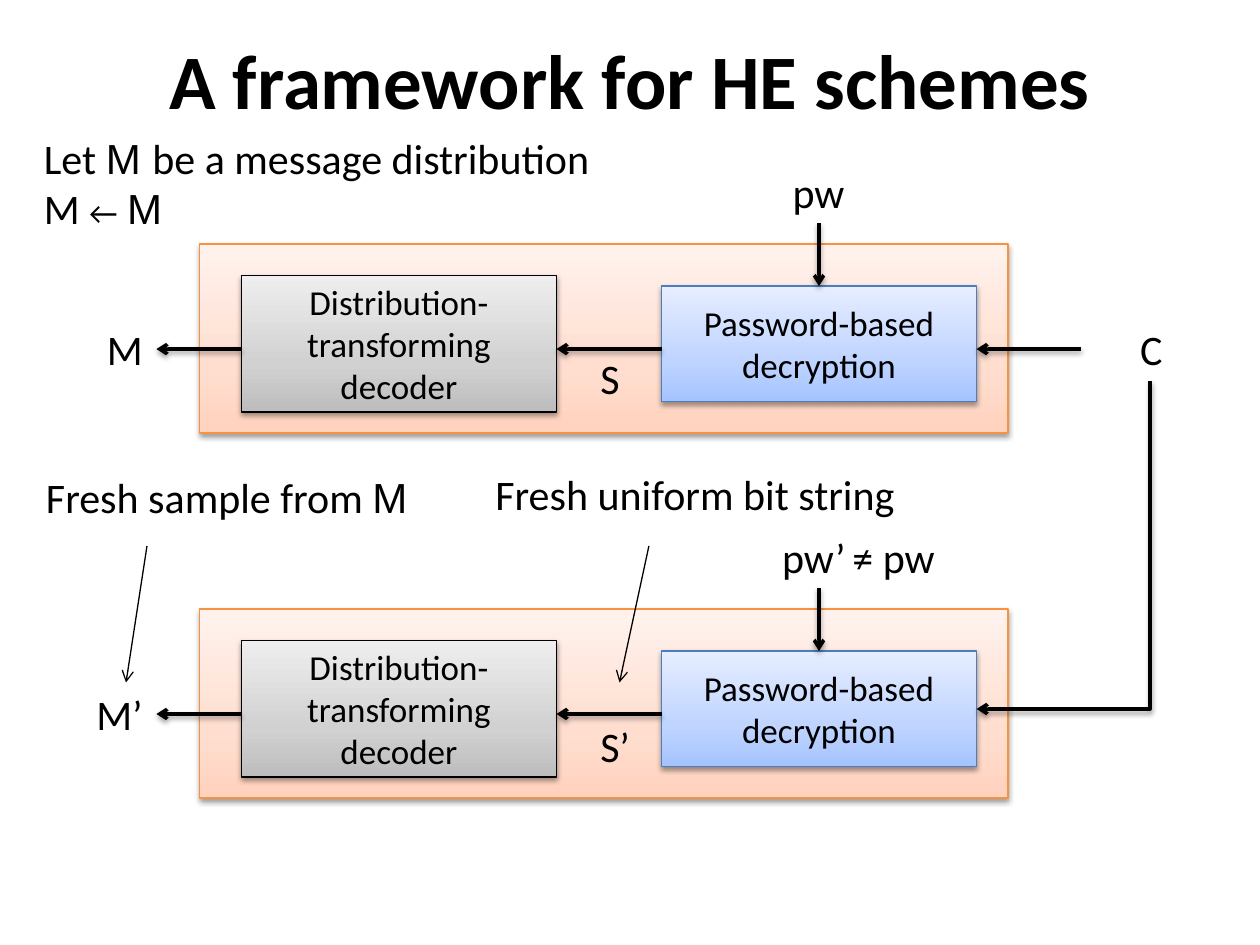
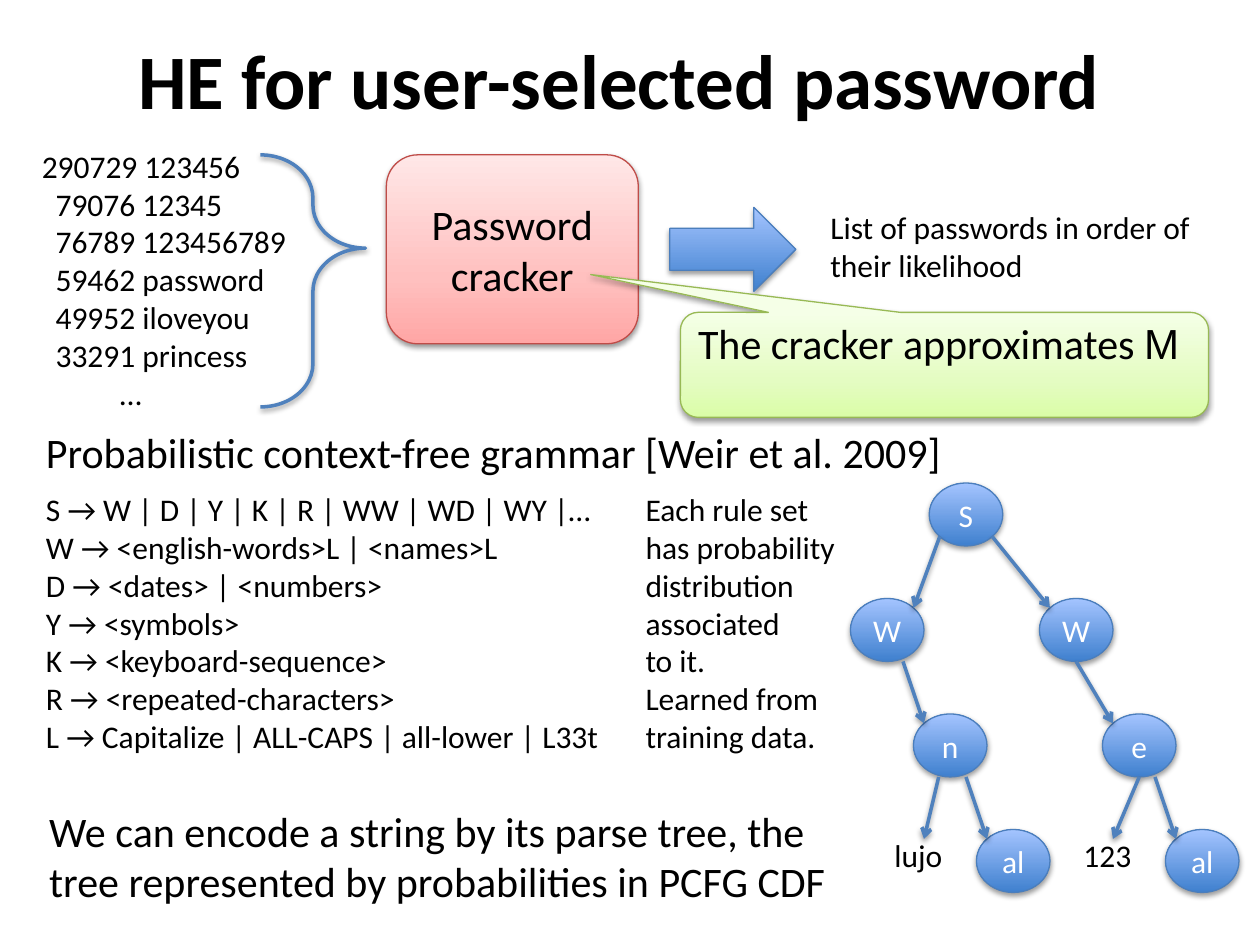
from lxml.etree import SubElement
from pptx import Presentation
from pptx.dml.color import RGBColor
from pptx.enum.shapes import MSO_CONNECTOR, MSO_SHAPE
from pptx.enum.text import MSO_ANCHOR, PP_ALIGN
from pptx.oxml import parse_xml
from pptx.oxml.ns import nsdecls, qn
from pptx.util import Inches, Pt

# The grid has 120 columns and 90 rows of square cells.
CELL = Inches(10) / 120
BLACK, WHITE, BLUE = "000000", "FFFFFF", "4F81BD"
TITLE = {"size": 44, "bold": True, "align": PP_ALIGN.CENTER, "anchor": MSO_ANCHOR.MIDDLE}
CENTERED = {"align": PP_ALIGN.CENTER, "anchor": MSO_ANCHOR.MIDDLE}

# Each style holds a line colour and gradient stops from bottom to top.
STYLES = {
    "orange": ("F69240", {0: "FFD2BD", 35: "FFDED0", 100: "FFF2ED"}),
    "pale blue": ("4B7EBC", {0: "A4C4FF", 35: "BFD4FF", 100: "E6EEFF"}),
    "grey": (BLACK, {0: "BDBDBD", 35: "D1D1D1", 100: "EEEEEE"}),
    "red": ("BF4C48", {0: "FFA6A5", 35: "FFC0BF", 100: "FFE7E7"}),
    "green": ("98B955", {0: "DAFDA7", 35: "E4FCC2", 100: "F5FFE7"}),
    "blue": ("4B7EBC", {0: "3F80CE", 100: "A4C4FF"}),
}
SHADOW = (
    f'<a:outerShdw {nsdecls("a")} blurRad="39370" dist="20320" dir="5400000" rotWithShape="0">'
    '<a:srgbClr val="000000"><a:alpha val="38000"/></a:srgbClr></a:outerShdw>'
)


def add_box(slide, cells, text="", kind=None, style=None, size=24, bold=False,
            colour=BLACK, align=PP_ALIGN.LEFT, anchor=MSO_ANCHOR.TOP, wrap=False):
    """Add a text box or a styled shape; tildes enclose symbols with their own font."""
    place = [round(CELL * cell) for cell in cells]
    if kind is None:
        shape = slide.shapes.add_textbox(*place)
    else:
        shape = slide.shapes.add_shape(kind, *place)
        shape.shadow.inherit = False
        shape._element.spPr.find(qn("a:effectLst")).append(parse_xml(SHADOW))
    if style:
        line_colour, stops = STYLES[style]
        shape.line.color.rgb = RGBColor.from_string(line_colour)
        shape.line.width = Pt(0.75)
        shape.fill.gradient()
        shape.fill.gradient_angle = 90
        stop_list = shape._element.spPr.find(qn("a:gradFill")).find(qn("a:gsLst"))
        stop_list.clear()
        for position, stop_colour in stops.items():
            stop = SubElement(stop_list, qn("a:gs"), pos=str(position * 1000))
            SubElement(stop, qn("a:srgbClr"), val=stop_colour)
    frame = shape.text_frame
    frame.word_wrap = wrap or kind is not None
    frame.vertical_anchor = anchor
    for number, line in enumerate(text.split("\n") if text else []):
        paragraph = frame.add_paragraph() if number else frame.paragraphs[0]
        paragraph.alignment = align
        for index, part in enumerate(line.split("~")):
            if not part:
                continue
            run = paragraph.add_run()
            run.text = part
            is_message_space = index % 2 and part.strip() == "M"
            values = {
                "name": "Arial" if is_message_space else "Calibri",
                "size": Pt(18 if part == "←" else size),
                "bold": bold,
            }
            for name, value in values.items():
                setattr(run.font, name, value)
            run.font.color.rgb = RGBColor.from_string(colour)
    return shape


def add_arrow(slide, cells, colour=BLACK, width=2, shadow=True):
    arrow = slide.shapes.add_connector(
        MSO_CONNECTOR.STRAIGHT, *[round(CELL * cell) for cell in cells])
    arrow.line.color.rgb = RGBColor.from_string(colour)
    arrow.line.width = Pt(width)
    properties = arrow._element.spPr
    SubElement(properties.find(qn("a:ln")), qn("a:tailEnd"), type="arrow")
    effects = SubElement(properties, qn("a:effectLst"))
    if shadow:
        effects.append(parse_xml(SHADOW))
    return arrow


presentation = Presentation()
presentation.slide_width = Inches(10)
presentation.slide_height = Inches(7.5)
blank = presentation.slide_layouts[6]

# Framework: the same decryption chain with the right and a wrong password
slide = presentation.slides.add_slide(blank)
add_box(slide, (6, 0, 108, 15), "A framework for HE schemes", **TITLE)
add_box(slide, (3, 12, 55.7, 10.9), "Let ~M ~be a message distribution\nM ~←~ ~M")

# Chain top row, then (text, column, row below the top, width) of its labels
chains = [
    (23.25, [("M", 9, 7, 5.9), ("pw", 74.3, -8, 7.5), ("S", 56, 9.75, 4.3)]),
    (58, [("M’", 8, 7, 7), ("pw’", 73.3, -8, 9), ("≠ pw", 80, -8, 10.4),
          ("S’", 56, 10, 5.5)]),
]
for top, labels in chains:
    add_box(slide, (19, top, 77, 18), kind=MSO_SHAPE.RECTANGLE, style="orange")
    add_box(slide, (63, top + 4, 30, 11), "Password-based decryption",
            MSO_SHAPE.RECTANGLE, "pale blue", 20, **CENTERED)
    add_box(slide, (23, top + 3, 30, 13), "Distribution-transforming decoder",
            MSO_SHAPE.RECTANGLE, "grey", 20, **CENTERED)
    for start, end in [(23, 14.9), (63, 53)]:
        add_arrow(slide, (start, top + 10, end, top + 10))
    add_arrow(slide, (78, top - 2, 78, top + 4))
    for text, column, row, width in labels:
        add_box(slide, (column, top + row, width, 6), text)

add_box(slide, (107.4, 30.25, 4.5, 6), "C")
add_arrow(slide, (103, 33.25, 93, 33.25))
ciphertext_bend = add_arrow(slide, (85.63, 43.65, 116.88, 60.15))
ciphertext_bend._element.spPr.find(qn("a:prstGeom")).set("prst", "bentConnector2")
ciphertext_bend._element.spPr.find(qn("a:xfrm")).set("rot", "5400000")

add_box(slide, (3.2, 44.3, 38, 6), "Fresh sample from ~M")
add_box(slide, (46, 44, 41, 6), "Fresh uniform bit string")
for start, end in [(14, 12), (61.8, 59)]:
    add_arrow(slide, (start, 52, end, 65), width=0.75, shadow=False)

# User-selected passwords: cracker on top, grammar and parse tree below
slide = presentation.slides.add_slide(blank)
add_box(slide, (8.6, 0, 100.8, 15), "HE for user-selected password", **TITLE)
add_box(slide, (36.8, 14.75, 24, 18), "Password cracker",
        MSO_SHAPE.ROUNDED_RECTANGLE, "red", **CENTERED)

counts = add_box(
    slide, (2.8, 13.4, 29, 26.6),
    "290729 123456\n79076 12345\n76789 123456789\n59462 password\n"
    "49952 iloveyou\n33291 princess\n…", size=18, wrap=True)
for paragraph in counts.text_frame.paragraphs[1:]:
    indent = Inches(0.62 if paragraph.text == "…" else 0.11)
    paragraph._p.get_or_add_pPr().set("marL", str(indent))

brace = add_box(slide, (24.8, 14.75, 10, 24), kind=MSO_SHAPE.LEFT_BRACE)
brace.rotation = 180
brace.adjustments[0], brace.adjustments[1] = 0.41, 0.63
brace.fill.background()
brace.line.color.rgb = RGBColor.from_string(BLUE)
brace.line.width = Pt(2)

add_box(slide, (63.8, 19.75, 12, 8), kind=MSO_SHAPE.RIGHT_ARROW, style="blue")
add_box(slide, (77.9, 19.2, 37.3, 8.5),
        "List of passwords in order of\ntheir likelihood", size=18)
callout = add_box(slide, (64.8, 29.75, 50.3, 10), "The cracker approximates ~M",
                  MSO_SHAPE.ROUNDED_RECTANGULAR_CALLOUT, "green")
callout.text_frame.margin_top = 0
for index, value in enumerate((-0.67, -0.86, 0.17)):
    callout.adjustments[index] = value

add_box(slide, (3.2, 40, 89.3, 6),
        "Probabilistic context-free grammar [Weir et al. 2009]")
add_box(slide, (3.2, 46.1, 55.8, 26.6),
        "S → W | D | Y | K | R | WW | WD | WY |…\n"
        "W → <english-words>L | <names>L\n"
        "D → <dates> | <numbers>\n"
        "Y → <symbols>\n"
        "K → <keyboard-sequence>\n"
        "R → <repeated-characters>\n"
        "L → Capitalize | ALL-CAPS | all-lower | L33t", size=18)
add_box(slide, (60.3, 46.1, 20.7, 26.6),
        "Each rule set\nhas probability\ndistribution\nassociated\nto it.\n"
        "Learned from\ntraining data.", size=18)
add_box(slide, (3.5, 76.1, 77.4, 10.9),
        "We can encode a string by its parse tree, the\n"
        "tree represented by probabilities in PCFG CDF")

# Parse tree: four levels, 11 rows apart
LEVEL = 11
nodes = [("S", 88.5, 0), ("W", 81, 1), ("W", 99, 1), ("n", 87, 2), ("e", 105, 2),
         ("al", 93, 3), ("al", 111, 3)]
for text, column, level in nodes:
    node = add_box(slide, (column, 46 + LEVEL * level, 7, 6), text,
                   MSO_SHAPE.OVAL, "blue", 18, colour=WHITE, **CENTERED)
    node.text_frame.margin_left = node.text_frame.margin_right = 0
for text, column in [("lujo", 84), ("123", 102)]:
    add_box(slide, (column, 46 + LEVEL * 3, 7.1, 4.8), text, size=18)

# Start row of a level's branches, then (start column, end column) of each
branches = [
    (51.1, [(89.5, 87), (94.5, 100)]),
    (63, [(86, 88), (102.5, 106)]),
    (74, [(89.4, 88), (92, 94), (108.5, 106), (110, 112)]),
]
for level, (row, spans) in enumerate(branches):
    for start, end in spans:
        add_arrow(slide, (start, row, end, 57.9 + LEVEL * level), BLUE)

presentation.save("out.pptx")
